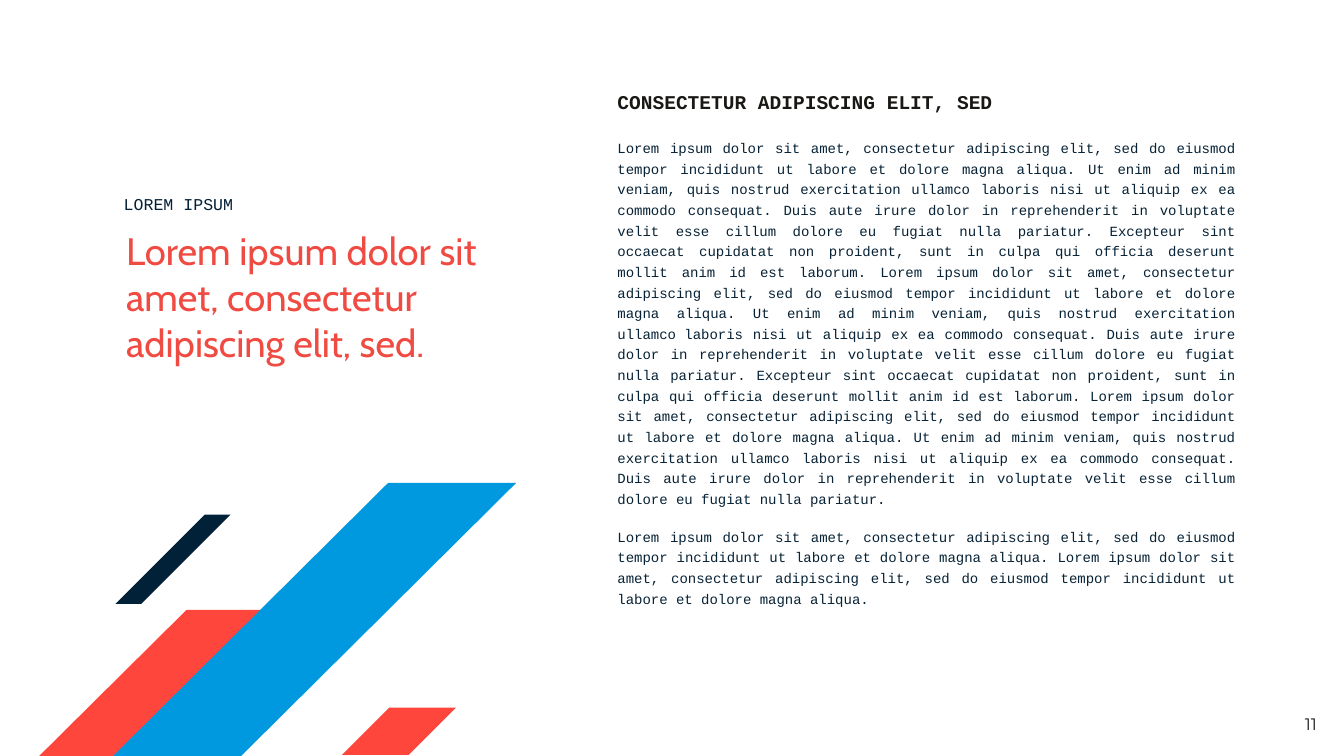
from dataclasses import dataclass

from pptx import Presentation
from pptx.dml.color import RGBColor
from pptx.enum.text import MSO_AUTO_SIZE, PP_ALIGN
from pptx.util import Cm, Pt


@dataclass(frozen=True)
class Theme:
    red: str = "FF463C"
    blue: str = "0099DF"
    navy: str = "002138"
    headline_color: str = "F04B42"
    label_color: str = "032136"
    heading_color: str = "1A1814"
    body_color: str = "072235"
    number_color: str = "181818"
    mono: str = "Courier New"
    sans: str = "Cabin"
    number_font: str = "Montserrat"
    body_size: float = 16.5
    label_size: float = 19.5
    heading_size: float = 23
    headline_size: float = 45


def write(frame, text, *, font, size, color, bold=False, align=PP_ALIGN.LEFT,
          line_spacing=1.0, space_before=0, margin=0.03):
    """Fill the empty first paragraph, or append a new one."""
    first = not frame.text
    paragraph = frame.paragraphs[0] if first else frame.add_paragraph()
    paragraph._p.get_or_add_pPr().set("marL", str(Cm(margin)))
    paragraph.alignment = align
    paragraph.line_spacing = line_spacing
    if not first:
        paragraph.space_before = Pt(space_before)
    run = paragraph.add_run()
    run.text = text
    run.font.name = font
    run.font.size = Pt(size)
    run.font.bold = bold
    run.font.color.rgb = RGBColor.from_string(color)


class SlideBuilder:
    def __init__(self, slide, theme):
        self.slide = slide
        self.theme = theme

    def text_area(self, left, top, width, height, inset_top=0.03):
        box = self.slide.shapes.add_textbox(
            Cm(left), Cm(top), Cm(width), Cm(height))
        frame = box.text_frame
        frame.word_wrap = True
        frame.auto_size = MSO_AUTO_SIZE.SHAPE_TO_FIT_TEXT
        frame.margin_left = frame.margin_right = frame.margin_bottom = 0
        frame.margin_top = Cm(inset_top)
        return frame

    def stripe(self, top_left, bottom_left, width, top, bottom, color):
        """Slanted stripe with level ends of equal width."""
        outline = self.slide.shapes.build_freeform(Cm(top_left), Cm(top))
        outline.add_line_segments([
            (Cm(bottom_left), Cm(bottom)),
            (Cm(bottom_left + width), Cm(bottom)),
            (Cm(top_left + width), Cm(top)),
        ], close=True)
        shape = outline.convert_to_shape()
        shape.shadow.inherit = False
        shape.fill.solid()
        shape.fill.fore_color.rgb = RGBColor.from_string(color)
        shape.line.fill.background()


# Sentences that make up the body
LOREM = ("Lorem ipsum dolor sit amet, consectetur adipiscing elit, sed do "
         "eiusmod tempor incididunt ut labore et dolore magna aliqua.")
ENIM = ("Ut enim ad minim veniam, quis nostrud exercitation ullamco laboris "
        "nisi ut aliquip ex ea commodo consequat.")
DUIS = ("Duis aute irure dolor in reprehenderit in voluptate velit esse "
        "cillum dolore eu fugiat nulla pariatur.")
EXCEPTEUR = ("Excepteur sint occaecat cupidatat non proident, sunt in culpa "
             "qui officia deserunt mollit anim id est laborum.")
# A no-break space keeps the two words together on the next line
ENIM_KEPT = ENIM.replace("ullamco laboris", f"ullamco{chr(160)}laboris")

BODY = [
    [LOREM, ENIM, DUIS, EXCEPTEUR,
     LOREM, ENIM_KEPT, DUIS, EXCEPTEUR,
     LOREM, ENIM, DUIS],
    [LOREM, LOREM],
]


def main():
    presentation = Presentation()
    presentation.slide_width = Cm(55.85)
    presentation.slide_height = Cm(31.42)
    theme = Theme()
    slide = presentation.slides.add_slide(presentation.slide_layouts[6])
    builder = SlideBuilder(slide, theme)

    # Body column
    body = builder.text_area(25.63, 5.61, 25.7, 19.84)
    for sentences in BODY:
        write(body, " ".join(sentences), font=theme.mono,
              size=theme.body_size, color=theme.body_color,
              align=PP_ALIGN.JUSTIFY, line_spacing=1.23, space_before=20)

    # Label and headline
    intro = builder.text_area(5.11, 7.77, 15.34, 7.44, inset_top=0.28)
    write(intro, "LOREM IPSUM", font=theme.mono, size=theme.label_size,
          color=theme.label_color)
    write(intro, "Lorem ipsum dolor sit amet, consectetur adipiscing elit, sed.",
          font=theme.sans, size=theme.headline_size,
          color=theme.headline_color, line_spacing=1.01, space_before=15.1,
          margin=0.13)

    # Heading above the body
    heading = builder.text_area(25.63, 3.71, 15.7, 1.02)
    write(heading, "CONSECTETUR ADIPISCING ELIT, SED", font=theme.mono,
          size=theme.heading_size, color=theme.heading_color, bold=True)

    # Slanted stripes: top left, bottom left, width, top, bottom, colour
    for stripe in [
        (7.75, 1.63, 3.24, 25.35, 31.42, theme.red),
        (16.13, 4.7, 5.32, 20.07, 31.42, theme.blue),
        (8.51, 4.8, 1.07, 21.39, 25.1, theme.navy),
        (16.18, 14.22, 2.77, 29.41, 31.37, theme.red),
    ]:
        builder.stripe(*stripe)

    # Page number
    page_number = builder.text_area(54.13, 29.64, 0.97, 0.91)
    write(page_number, "11", font=theme.number_font, size=theme.label_size,
          color=theme.number_color, margin=0.1)

    presentation.save("out.pptx")


if __name__ == "__main__":
    main()
